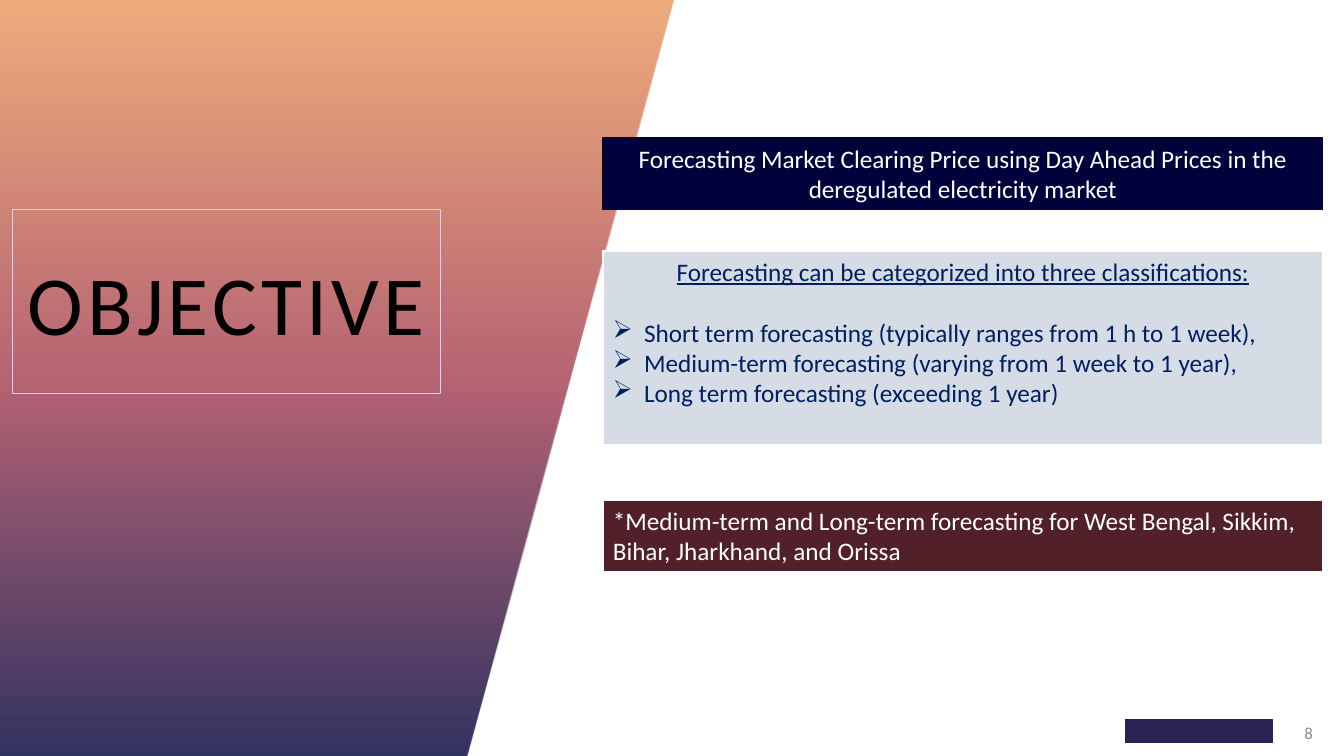
from lxml import etree
from pptx import Presentation
from pptx.dml.color import RGBColor
from pptx.enum.shapes import MSO_SHAPE
from pptx.enum.text import MSO_ANCHOR, PP_ALIGN
from pptx.oxml.ns import qn
from pptx.util import Inches, Pt

RECTANGLE = MSO_SHAPE.RECTANGLE
TOP, MIDDLE = MSO_ANCHOR.TOP, MSO_ANCHOR.MIDDLE
LEFT, CENTER, RIGHT = PP_ALIGN.LEFT, PP_ALIGN.CENTER, PP_ALIGN.RIGHT

NAVY = RGBColor(0x01, 0x02, 0x3B)
DARK_NAVY = RGBColor(0x01, 0x01, 0x2C)
ROSE = RGBColor(0xA5, 0x3F, 0x52)
ORANGE = RGBColor(0xEA, 0x9A, 0x5C)
MAROON = RGBColor(0x52, 0x20, 0x29)
PALE_BLUE = RGBColor(0xD6, 0xDC, 0xE5)
LAVENDER = RGBColor(0xD3, 0xD3, 0xFE)
TEXT_BLUE = RGBColor(0x00, 0x20, 0x60)
PURPLE = RGBColor(0x2C, 0x21, 0x53)
GRAY = RGBColor(0x8C, 0x8C, 0x8C)
WHITE = RGBColor(0xFF, 0xFF, 0xFF)
BLACK = RGBColor(0x00, 0x00, 0x00)

FONT = "Calibri"
COLUMN_LEFT, COLUMN_WIDTH = 5.98, 7.14
CLASSIFICATIONS = [
    "Short term forecasting (typically ranges from 1 h to 1 week),",
    "Medium-term forecasting (varying from 1 week to 1 year),",
    "Long term forecasting (exceeding 1 year)",
]


def add_run(paragraph, text, size, color, **formats):
    run = paragraph.add_run()
    run.text = text
    run.font.color.rgb = color
    for name, value in {"name": FONT, "size": Pt(size), **formats}.items():
        setattr(run.font, name, value)
    return run


def prepare_frame(shape, anchor, alignment):
    frame = shape.text_frame
    frame.word_wrap = True
    frame.vertical_anchor = anchor
    frame.paragraphs[0].alignment = alignment
    return frame


def add_rectangle(slide, box, fill, line, line_width):
    shape = slide.shapes.add_shape(RECTANGLE, *map(Inches, box))
    shape.shadow.inherit = False
    if fill is None:
        shape.fill.background()
    else:
        shape.fill.solid()
        shape.fill.fore_color.rgb = fill
    shape.line.color.rgb = line
    shape.line.width = Pt(line_width)
    return shape


def add_gradient_side(slide, box, bottom_width):
    left, top, width, height = map(Inches, box)
    builder = slide.shapes.build_freeform(left, top)
    builder.add_line_segments([
        (left + width, top),
        (left + Inches(bottom_width), top + height),
        (left, top + height),
    ], close=True)
    side = builder.convert_to_shape()
    side.shadow.inherit = False
    side.line.fill.background()
    side.fill.gradient()
    side.fill.gradient_angle = 90
    stops = side.fill._fill._gradFill.find(qn("a:gsLst"))
    for stop in list(stops):
        stops.remove(stop)
    for position, color in ((0, NAVY), (50, ROSE), (100, ORANGE)):
        stop = etree.SubElement(stops, qn("a:gs"), pos=str(position * 1000))
        tint = etree.SubElement(stop, qn("a:srgbClr"), val=str(color))
        etree.SubElement(tint, qn("a:alpha"), val="80000")


def add_title(slide, box):
    shape = add_rectangle(slide, box, None, LAVENDER, 0.75)
    frame = prepare_frame(shape, MIDDLE, CENTER)
    run = add_run(frame.paragraphs[0], "OBJECTIVE", 60, BLACK)
    run.font._element.set("spc", "300")


def add_statement(slide, box, text, fill, line, alignment):
    shape = add_rectangle(slide, box, fill, line, 1)
    frame = prepare_frame(shape, TOP, alignment)
    add_run(frame.paragraphs[0], text, 18, WHITE)


def add_classifications(slide, box):
    shape = add_rectangle(slide, box, PALE_BLUE, WHITE, 1)
    frame = prepare_frame(shape, TOP, CENTER)
    heading = frame.paragraphs[0]
    heading.space_after = Pt(22)
    add_run(heading, "Forecasting can be categorized into three classifications:",
            18, TEXT_BLUE, underline=True)
    for text in CLASSIFICATIONS:
        paragraph = frame.add_paragraph()
        paragraph.alignment = LEFT
        properties = paragraph._p.get_or_add_pPr()
        properties.set("marL", str(Inches(0.31)))
        properties.set("indent", str(-Inches(0.31)))
        etree.SubElement(properties, qn("a:buFont"), typeface="Wingdings",
                         pitchFamily="2", charset="2")
        etree.SubElement(properties, qn("a:buChar"), char="\u00d8")
        add_run(paragraph, text, 18, TEXT_BLUE)


def add_corner_block(slide, box):
    add_rectangle(slide, box, PURPLE, PURPLE, 0.75)


def add_slide_number(slide, box):
    shape = slide.shapes.add_textbox(*map(Inches, box))
    frame = prepare_frame(shape, MIDDLE, RIGHT)
    add_run(frame.paragraphs[0], "8", 12, GRAY)


def build_objective_slide(presentation):
    slide = presentation.slides.add_slide(presentation.slide_layouts[6])
    add_corner_block(slide, (11.16, 7.14, 1.46, 0.23))
    add_gradient_side(slide, (0, 0, 6.68, 7.5), 4.63)
    add_statement(slide, (COLUMN_LEFT, 1.37, COLUMN_WIDTH, 0.71),
                  "Forecasting Market Clearing Price using Day Ahead Prices "
                  "in the deregulated electricity market",
                  NAVY, DARK_NAVY, CENTER)
    add_slide_number(slide, (12.63, 7.07, 0.49, 0.4))
    add_title(slide, (0.12, 2.08, 4.25, 1.82))
    add_classifications(slide, (COLUMN_LEFT, 2.49, COLUMN_WIDTH, 1.92))
    add_statement(slide, (COLUMN_LEFT, 4.96, COLUMN_WIDTH, 0.71),
                  "*Medium-term and Long-term forecasting for West Bengal, "
                  "Sikkim, Bihar, Jharkhand, and Orissa",
                  MAROON, WHITE, LEFT)


presentation = Presentation()
presentation.slide_width = Inches(13.33)
presentation.slide_height = Inches(7.5)
build_objective_slide(presentation)
presentation.save("out.pptx")
